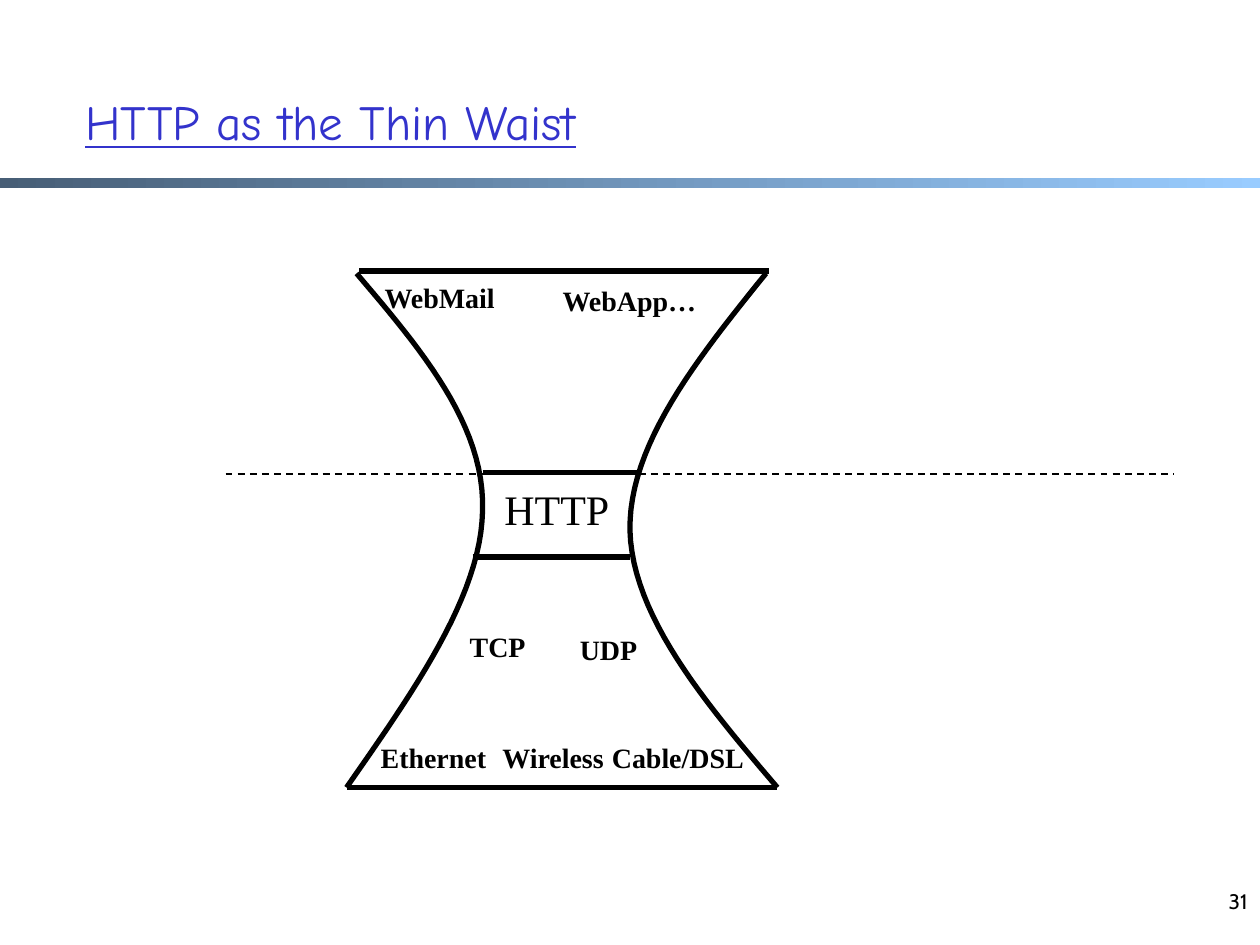
"""Build the slide that shows HTTP as the thin waist of the protocol stack."""
from dataclasses import dataclass

from lxml import etree
from pptx import Presentation
from pptx.dml.color import RGBColor
from pptx.enum.dml import MSO_LINE
from pptx.enum.shapes import MSO_CONNECTOR, MSO_SHAPE
from pptx.enum.text import MSO_ANCHOR, MSO_AUTO_SIZE, PP_ALIGN
from pptx.oxml.ns import qn
from pptx.util import Inches, Pt

DASH = MSO_LINE.DASH
STRAIGHT = MSO_CONNECTOR.STRAIGHT
RECTANGLE = MSO_SHAPE.RECTANGLE
TOP, MIDDLE = MSO_ANCHOR.TOP, MSO_ANCHOR.MIDDLE
LEFT, CENTER, RIGHT = PP_ALIGN.LEFT, PP_ALIGN.CENTER, PP_ALIGN.RIGHT
FIT_SHAPE = MSO_AUTO_SIZE.SHAPE_TO_FIT_TEXT
CURVE_STEPS = 24


@dataclass(frozen=True)
class Theme:
    """Colours, fonts, type sizes and line widths."""

    ink: RGBColor = RGBColor(0x00, 0x00, 0x00)
    title: RGBColor = RGBColor(0x33, 0x33, 0xCC)
    bar_start: RGBColor = RGBColor(0x47, 0x5E, 0x76)
    bar_end: RGBColor = RGBColor(0x99, 0xCC, 0xFF)
    title_font: str = "Comic Neue"
    label_font: str = "Times New Roman"
    number_font: str = "Cabin"
    title_size: int = 28
    waist_size: int = 24
    label_size: int = 16
    number_size: int = 12
    outline: int = 3
    divider: int = 1


def write_text(shape, text, *, font, size, color, bold=False, underline=False,
               align=LEFT, anchor=TOP, wrap=True):
    """Write one formatted paragraph into a shape."""
    frame = shape.text_frame
    frame.word_wrap = wrap
    frame.vertical_anchor = anchor
    if not wrap:
        frame.auto_size = FIT_SHAPE
    paragraph = frame.paragraphs[0]
    paragraph.alignment = align
    run = paragraph.add_run()
    run.text = text
    run.font.name = font
    run.font.size = Pt(size)
    run.font.color.rgb = color
    run.font.bold = bold
    run.font.underline = underline


def bezier_points(start, control_1, control_2, end):
    """Return evenly sampled points of a cubic curve after its start."""
    points = []
    for step in range(1, CURVE_STEPS + 1):
        t = step / CURVE_STEPS
        weights = ((1 - t) ** 3, 3 * t * (1 - t) ** 2, 3 * t * t * (1 - t), t ** 3)
        corners = (start, control_1, control_2, end)
        points.append(tuple(sum(weight * corner[axis] for weight, corner in zip(weights, corners))
                            for axis in (0, 1)))
    return points


class SlideBuilder:
    """Hold the theme and the current slide, and add elements to it."""

    def __init__(self, slide, theme):
        """Keep the slide and its theme."""
        self.shapes = slide.shapes
        self.theme = theme

    def gradient_bar(self, left, top, width, height):
        """Add a bar that fades from left to right."""
        shape = self.shapes.add_shape(RECTANGLE, *map(Inches, (left, top, width, height)))
        shape.shadow.inherit = False
        shape.line.fill.background()
        shape.fill.gradient()
        shape.fill.gradient_angle = 0
        colors = (self.theme.bar_start, self.theme.bar_end)
        for stop, color in zip(shape.fill.gradient_stops, colors):
            stop.color.rgb = color

    def text(self, text, left, top, width, height, **text_format):
        """Add a text box."""
        shape = self.shapes.add_textbox(*map(Inches, (left, top, width, height)))
        write_text(shape, text, **text_format)

    def label(self, text, left, top, width, height=0.37, size=None, bold=True):
        """Add a centred diagram label."""
        self.text(text, left, top, width, height, font=self.theme.label_font,
                  size=size or self.theme.label_size, color=self.theme.ink,
                  bold=bold, align=CENTER, wrap=False)

    def horizontal_line(self, left, right, y, width, dash=None):
        """Add a straight horizontal line."""
        connector = self.shapes.add_connector(STRAIGHT, *map(Inches, (left, y, right, y)))
        connector.line.color.rgb = self.theme.ink
        connector.line.width = Pt(width)
        if dash is not None:
            connector.line.dash_style = dash
        etree.SubElement(connector._element.spPr, qn("a:effectLst"))

    def curve(self, start, *segments):
        """Add an open outline made of cubic segments."""
        builder = self.shapes.build_freeform(*map(Inches, start))
        for segment in segments:
            points = bezier_points(start, *segment)
            builder.add_line_segments([tuple(map(Inches, point)) for point in points], close=False)
            start = segment[-1]
        shape = builder.convert_to_shape()
        shape.shadow.inherit = False
        shape.fill.background()
        shape.line.color.rgb = self.theme.ink
        shape.line.width = Pt(self.theme.outline)


def main():
    """Build and save the presentation."""
    presentation = Presentation()
    presentation.slide_width, presentation.slide_height = Inches(10), Inches(7.5)
    slide = presentation.slides.add_slide(presentation.slide_layouts[6])
    theme = Theme()
    builder = SlideBuilder(slide, theme)

    builder.gradient_bar(0, 1.41, 10, 0.08)
    builder.text("31", 7.67, 7, 2.33, 0.5, font=theme.number_font,
                 size=theme.number_size, color=theme.ink, align=RIGHT)
    builder.text("HTTP as the Thin Waist", 0.58, 0.42, 8.5, 1.08, font=theme.title_font,
                 size=theme.title_size, color=theme.title, underline=True, anchor=MIDDLE)

    builder.horizontal_line(1.79, 9.32, 3.76, theme.divider, DASH)
    builder.curve((2.83, 2.17),
                  ((3.34, 2.77), (3.85, 3.37), (3.83, 4.05)),
                  ((3.82, 4.73), (3.28, 5.49), (2.75, 6.25)))
    builder.curve((6.08, 2.17),
                  ((5.53, 2.85), (4.99, 3.53), (5, 4.21)),
                  ((5.02, 4.89), (5.59, 5.57), (6.17, 6.25)))
    for left, right, y in ((2.85, 6.1, 2.15), (3.83, 5.08, 3.75),
                           (3.75, 5, 4.42), (2.75, 6.17, 6.25)):
        builder.horizontal_line(left, right, y, theme.outline)

    builder.label("HTTP", 3.9, 3.79, 1.04, 0.5, size=theme.waist_size, bold=False)
    for text, left, top, width in (
        ("WebMail", 2.94, 2.18, 1.1),
        ("WebApp…", 4.35, 2.2, 1.29),
        ("TCP", 3.63, 4.95, 0.64),
        ("UDP", 4.5, 4.97, 0.66),
        ("Ethernet", 2.92, 5.83, 1.04),
        ("Wireless", 3.88, 5.83, 1.02),
        ("Cable/DSL", 4.75, 5.83, 1.26),
    ):
        builder.label(text, left, top, width)

    presentation.save("out.pptx")


if __name__ == "__main__":
    main()
